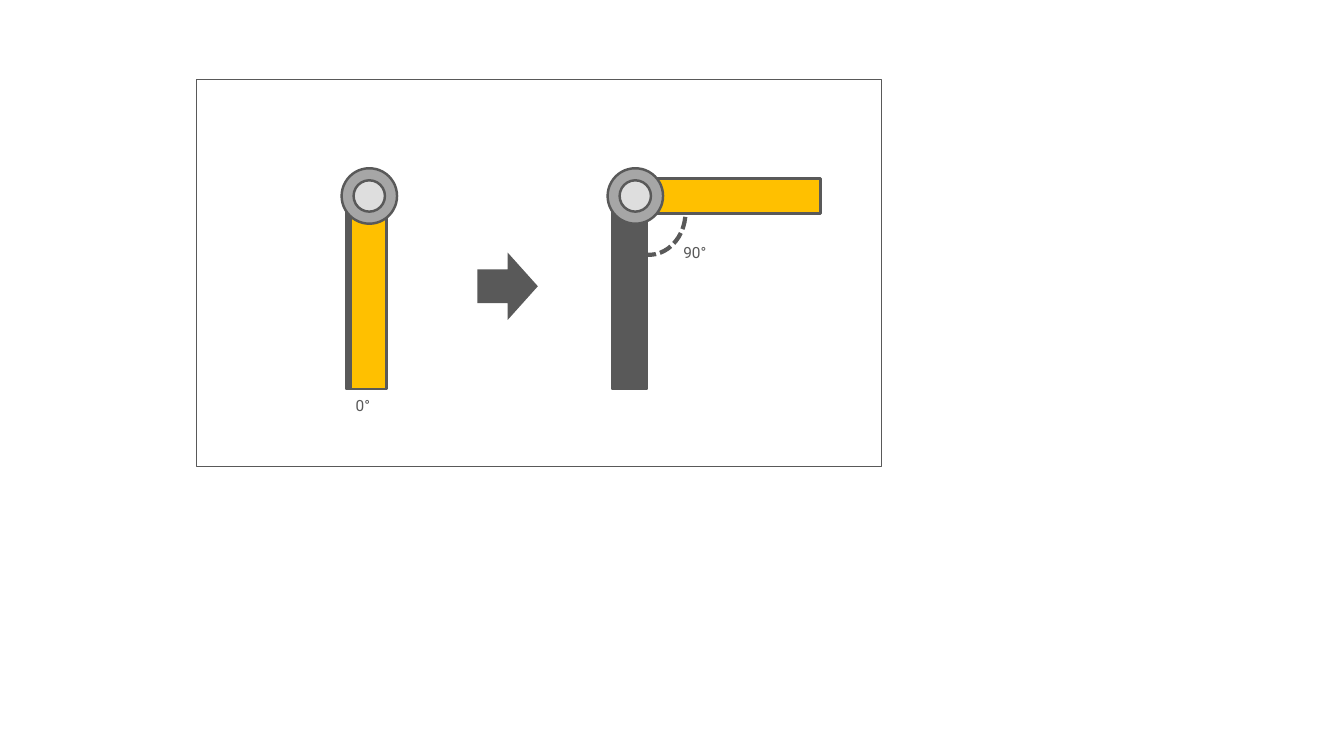
from typing import NamedTuple, Optional
from pptx import Presentation
from pptx.dml.color import RGBColor
from pptx.enum.dml import MSO_LINE
from pptx.enum.shapes import MSO_SHAPE
from pptx.enum.text import MSO_AUTO_SIZE
from pptx.util import Pt

DARK, AMBER, WHITE = "595959", "FFC000", "FFFFFF"
RING, PIN = "A6A6A6", "DEDEDE"
ARM_LENGTH, ARM_WIDTH = 146.2, 25.2
ARM_TOP = 131.8
HUB_Y = 140
RING_SIZE, PIN_SIZE = 39.6, 22.4
CLOSED_X, STEP = 263.8, 190  # hub centre of the closed hinge, distance to the open one
OPEN_X = CLOSED_X + STEP


class Part(NamedTuple):
    kind: MSO_SHAPE
    left: float
    top: float
    width: float
    height: float
    fill: Optional[str] = None
    line: Optional[float] = 1.75


class Label(NamedTuple):
    text: str
    left: float
    top: float
    width: float


def rgb(value: str) -> RGBColor:
    return RGBColor.from_string(value)


def draw_part(part: Part):
    sp = s.shapes.add_shape(part.kind, Pt(part.left), Pt(part.top),
                            Pt(part.width), Pt(part.height))
    sp.shadow.inherit = False
    if part.fill:
        sp.fill.solid()
        sp.fill.fore_color.rgb = rgb(part.fill)
    else:
        sp.fill.background()
    if part.line:
        sp.line.color.rgb = rgb(DARK)
        sp.line.width = Pt(part.line)
    else:
        sp.line.fill.background()
    return sp


def draw_hub(x: float) -> None:
    for size, fill in ((RING_SIZE, RING), (PIN_SIZE, PIN)):
        draw_part(Part(MSO_SHAPE.OVAL, x - size / 2, HUB_Y - size / 2, size, size, fill))


def draw_upright(left: float, fill: str) -> None:
    draw_part(Part(MSO_SHAPE.RECTANGLE, left, ARM_TOP, ARM_WIDTH, ARM_LENGTH, fill))


def draw_label(label: Label) -> None:
    tf = s.shapes.add_textbox(Pt(label.left), Pt(label.top),
                              Pt(label.width), Pt(20.6)).text_frame
    tf.word_wrap = True
    tf.auto_size = MSO_AUTO_SIZE.SHAPE_TO_FIT_TEXT
    p = tf.paragraphs[0]
    p.text = label.text
    p.font.name = "Roboto"
    p.font.size = Pt(11)
    p.font.color.rgb = rgb(DARK)


prs = Presentation()
prs.slide_width, prs.slide_height = Pt(960), Pt(540)
s = prs.slides.add_slide(prs.slide_layouts[6])

# Frame
draw_part(Part(MSO_SHAPE.RECTANGLE, 139.8, 56.4, 489.6, 276.4, WHITE, 0.25))

# Closed hinge
draw_upright(CLOSED_X - 16.8, DARK)
draw_upright(CLOSED_X - 13, AMBER)
draw_hub(CLOSED_X)
draw_label(Label("0°", 247, 279.4, 32.4))

# Open hinge
arc = draw_part(Part(MSO_SHAPE.ARC, 434.9, 127.4, 59, 50.4, line=3))
arc.rotation = 95.3
arc.line.dash_style = MSO_LINE.SQUARE_DOT
draw_upright(OPEN_X - 16.8, DARK)
draw_part(Part(MSO_SHAPE.RECTANGLE, 440, 127.4, ARM_LENGTH, ARM_WIDTH, AMBER))
draw_hub(OPEN_X)
draw_label(Label("90°", 481, 169.9, 79.2))

# Arrow from closed to open
draw_part(Part(MSO_SHAPE.RIGHT_ARROW, 341, 180.4, 43.2, 48.2, DARK, None))

prs.save("out.pptx")
